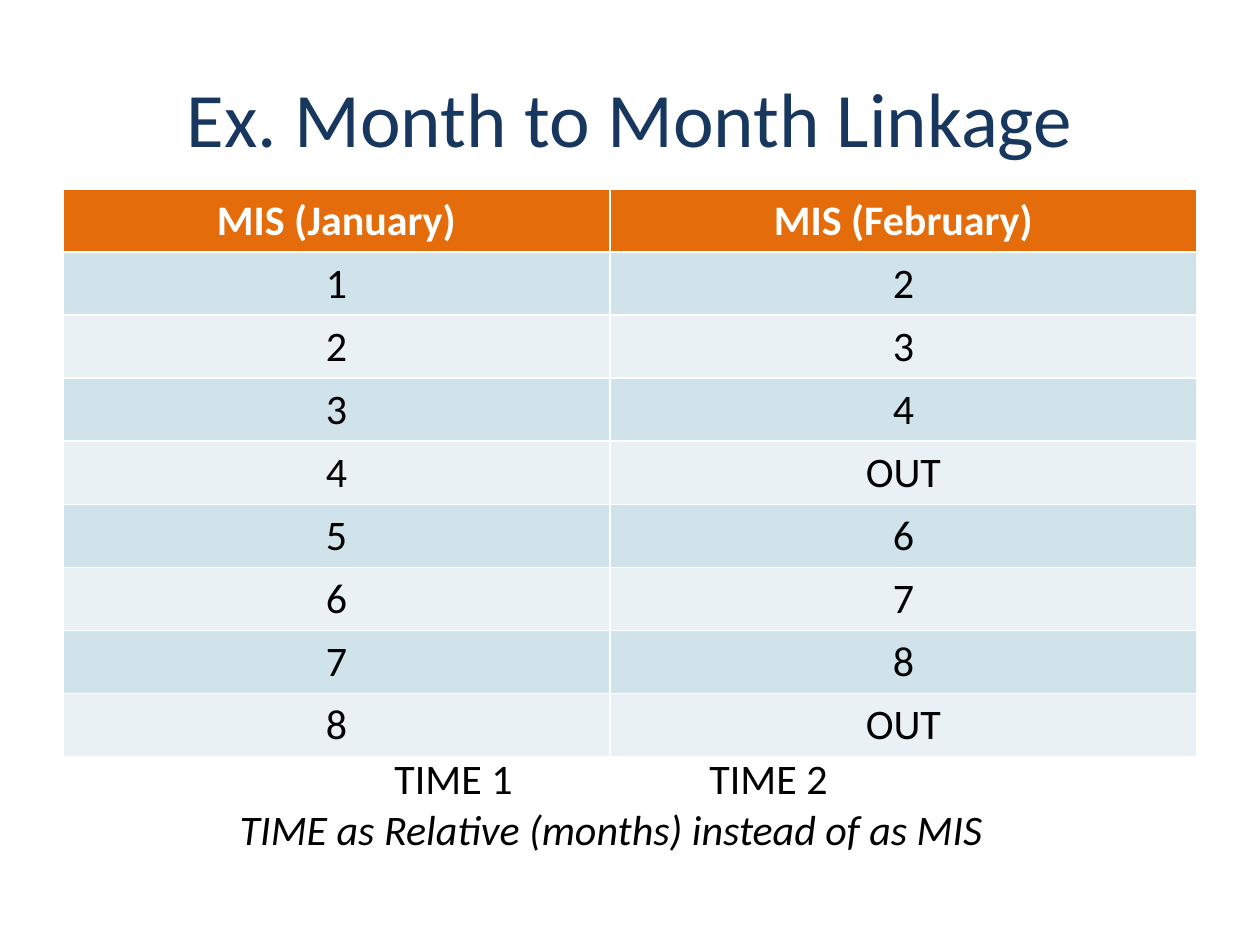
from pptx import Presentation
from pptx.dml.color import RGBColor as Rgb
from pptx.enum.text import MSO_ANCHOR as Anchor, PP_ALIGN as Align
from pptx.util import Inches, Pt

WIDE, HIGH = Inches(10), Inches(7.5)
LEFT, SPAN = 0.05, 0.9
HEAD = ("MIS (January)", "MIS (February)")
GONE = (4, 8)
COLS = (4.34, 4.66)
BANDS = ("E9F1F5", "D0E3EA")
BODY = {"name": "Calibri", "size": Pt(24)}


def tint(code):
    return Rgb.from_string(code)


def place(left, top, wide, high):
    return [round(n) for n in (left * WIDE, top * HIGH, wide * WIDE, high * HIGH)]


def style(para, look, color):
    para.alignment = Align.CENTER
    for key, value in look.items():
        setattr(para.font, key, value)
    para.font.color.rgb = tint(color)


def add_text(slide, spot, lines, color, anchor=Anchor.TOP):
    frame = slide.shapes.add_textbox(*place(*spot)).text_frame
    frame.word_wrap = True
    frame.vertical_anchor = anchor
    for i, (text, look) in enumerate(lines):
        para = frame.add_paragraph() if i else frame.paragraphs[0]
        para.text = text
        style(para, look, color)


def fill_cell(cell, text, back, color, bold):
    cell.text = text
    cell.fill.solid()
    cell.fill.fore_color.rgb = tint(back)
    cell.vertical_anchor = Anchor.MIDDLE
    cell.margin_left = cell.margin_right = Inches(0.2)
    style(cell.text_frame.paragraphs[0], BODY | {"bold": bold}, color)


def add_grid(slide, spot, rows):
    grid = slide.shapes.add_table(len(rows), len(COLS), *place(*spot)).table
    for col, wide in zip(grid.columns, COLS):
        col.width = Inches(wide)
    for r, row in enumerate(rows):
        back, color = (BANDS[r % 2], "000000") if r else ("E46C0A", "FFFFFF")
        for c, text in enumerate(row):
            fill_cell(grid.cell(r, c), text, back, color, r == 0)


def main():
    deck = Presentation()
    deck.slide_width, deck.slide_height = WIDE, HIGH
    slide = deck.slides.add_slide(deck.slide_layouts[6])
    title = ("Ex. Month to Month Linkage", BODY | {"size": Pt(44)})
    add_text(slide, (LEFT, 0.04, SPAN, 1 / 6), [title], "17375E", Anchor.MIDDLE)
    months = [(str(n), "OUT" if n in GONE else str(n + 1)) for n in range(1, 9)]
    add_grid(slide, (LEFT, 0.2, SPAN, 0.6), [HEAD] + months)
    notes = [
        ("TIME 1\t\t\t\tTIME 2", BODY),
        ("TIME as Relative (months) instead of as MIS", BODY | {"italic": True}),
    ]
    add_text(slide, (0.108, 0.79, 0.754, 0.12), notes, "000000")
    deck.save("out.pptx")


if __name__ == "__main__":
    main()
